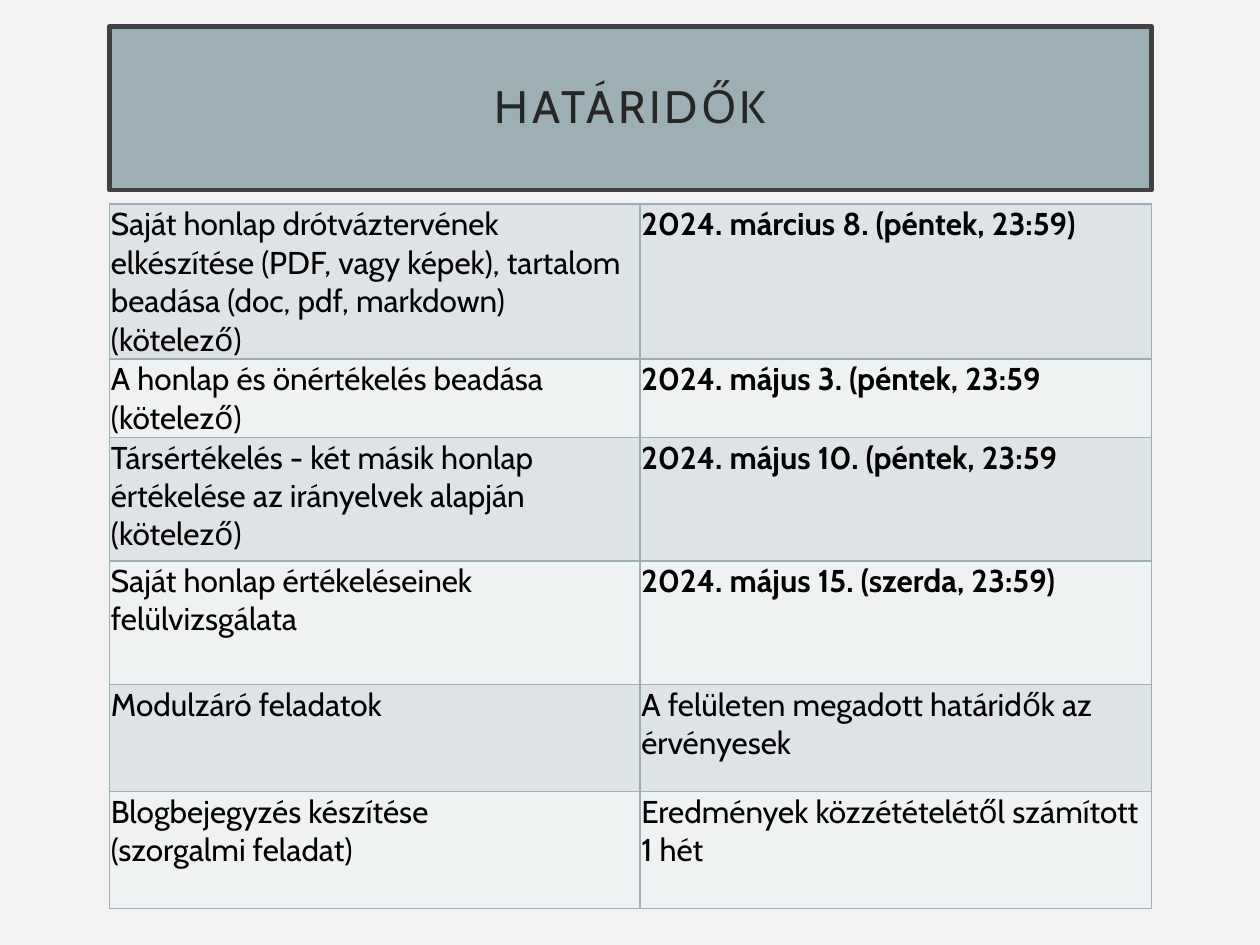
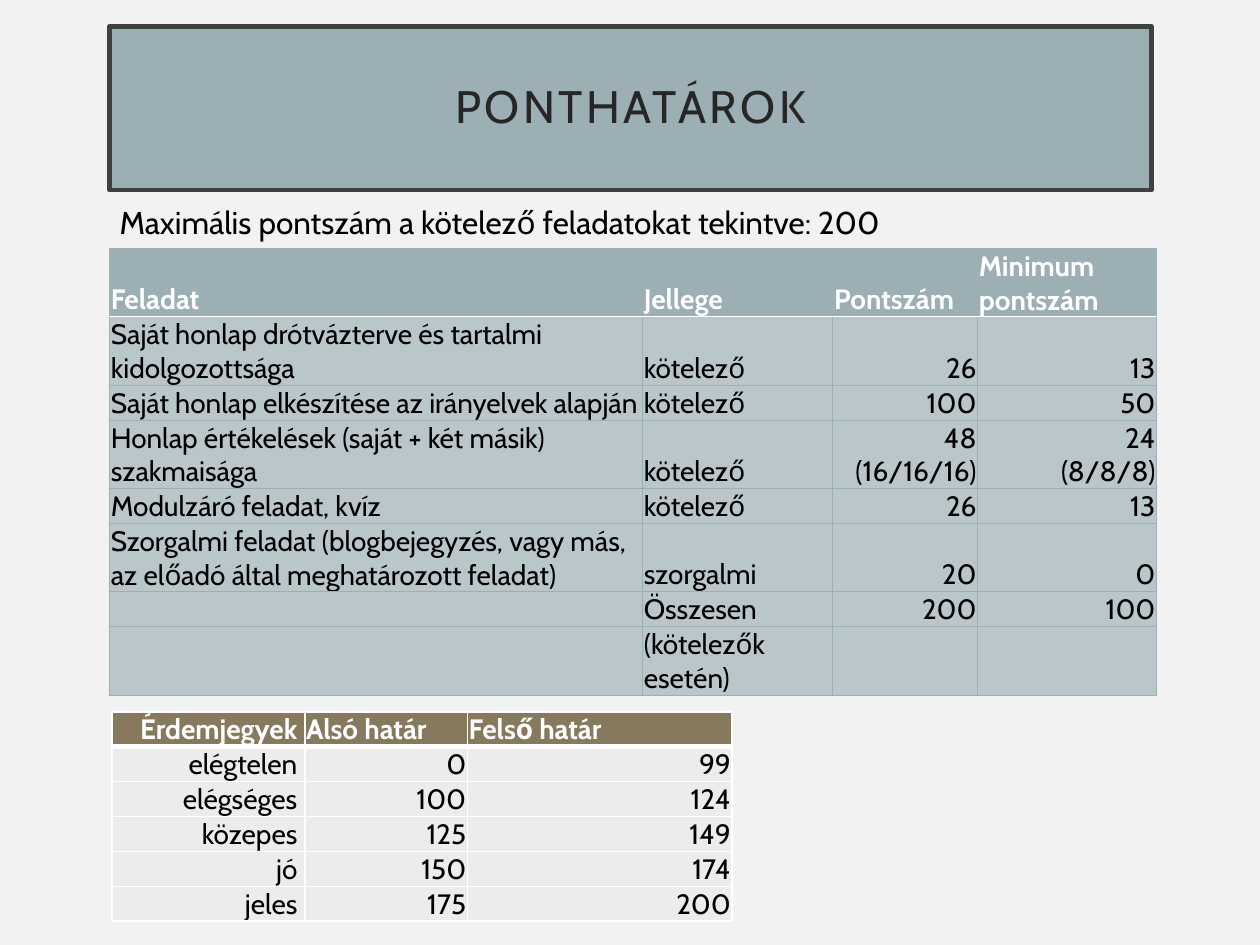
from dataclasses import dataclass

from lxml import etree
from pptx import Presentation
from pptx.dml.color import RGBColor
from pptx.enum.shapes import MSO_SHAPE
from pptx.enum.text import MSO_ANCHOR, PP_ALIGN
from pptx.oxml.ns import qn
from pptx.util import Inches, Pt

RECTANGLE = MSO_SHAPE.RECTANGLE
TOP, MIDDLE, BOTTOM = MSO_ANCHOR.TOP, MSO_ANCHOR.MIDDLE, MSO_ANCHOR.BOTTOM
LEFT, CENTER, RIGHT = PP_ALIGN.LEFT, PP_ALIGN.CENTER, PP_ALIGN.RIGHT


@dataclass(frozen=True)
class Theme:
    font: str = "Cabin"
    page: str = "F2F2F2"
    accent: str = "9BAFB5"
    title_line: str = "404040"
    title_text: str = "262626"
    text: str = "000000"
    white: str = "FFFFFF"
    band_dark: str = "DEE3E5"
    band_light: str = "EFF2F3"
    task_body: str = "B9C6CA"
    grade_head: str = "87795D"
    grade_body: str = "EDECEA"
    title_size: int = 26
    body_size: int = 18
    table_size: int = 16


THEME = Theme()

# Boxes are left, top, width, height in inches
TITLE_BOX = (0.87, 0.21, 8.27, 1.3)
DEADLINE_BOX = (0.87, 1.62, 8.27, 5.59)
CAPTION_BOX = (0.85, 1.56, 6.48, 0.4)
TASK_BOX = (0.87, 1.97, 8.31, 3.52)
GRADE_BOX = (0.89, 5.65, 4.92, 1.64)

DEADLINES = [
    ("Saját honlap drótváztervének elkészítése (PDF, vagy képek), tartalom "
     "beadása (doc, pdf, markdown) (kötelező)", "2024. március 8. (péntek, 23:59)"),
    ("A honlap és önértékelés beadása (kötelező)", "2024. május 3. (péntek, 23:59"),
    ("Társértékelés - két másik honlap értékelése az irányelvek alapján (kötelező)",
     "2024. május 10. (péntek, 23:59"),
    ("Saját honlap értékeléseinek felülvizsgálata", "2024. május 15. (szerda, 23:59)"),
    ("Modulzáró feladatok", "A felületen megadott határidők az érvényesek"),
    ("Blogbejegyzés készítése\n(szorgalmi feladat)",
     "Eredmények közzétételétől számított 1 hét"),
]
TASKS = [
    ("Feladat", "Jellege", "Pontszám", "Minimum pontszám"),
    ("Saját honlap drótvázterve és tartalmi kidolgozottsága", "kötelező", "26", "13"),
    ("Saját honlap elkészítése az irányelvek alapján", "kötelező", "100", "50"),
    ("Honlap értékelések (saját + két másik) szakmaisága", "kötelező",
     "48 (16/16/16)", "24\n(8/8/8)"),
    ("Modulzáró feladat, kvíz", "kötelező", "26", "13"),
    ("Szorgalmi feladat (blogbejegyzés, vagy más, az előadó által meghatározott feladat)",
     "szorgalmi", "20", "0"),
    ("", "Összesen", "200", "100"),
    ("", "(kötelezők esetén)", "", ""),
]
GRADES = [
    ("Érdemjegyek", "Alsó határ", "Felső határ"),
    ("elégtelen", "0", "99"),
    ("elégséges", "100", "124"),
    ("közepes", "125", "149"),
    ("jó", "150", "174"),
    ("jeles", "175", "200"),
]


def rgb(code):
    return RGBColor.from_string(code)


def paint(fill, color):
    fill.solid()
    fill.fore_color.rgb = rgb(color)


def write(para, text, size, color=THEME.text, bold=False, align=LEFT):
    """Fill a paragraph with runs, breaking the line at each newline."""
    para.alignment = align
    for index, line in enumerate(text.split("\n")):
        if index:
            para.add_line_break()
        span = para.add_run()
        span.text = line
        span.font.name = THEME.font
        span.font.size = Pt(size)
        span.font.bold = bold
        span.font.color.rgb = rgb(color)


def set_borders(cell, color, **widths):
    """Draw the four cell edges; widths are points by side L, R, T, B."""
    props = cell._tc.get_or_add_tcPr()
    for index, side in enumerate("LRTB"):
        edge_color, width = widths.get(side, (color, widths["all"]))
        edge = etree.Element(qn(f"a:ln{side}"), w=str(Pt(width)))
        fill = etree.SubElement(edge, qn("a:solidFill"))
        etree.SubElement(fill, qn("a:srgbClr"), val=edge_color)
        props.insert(index, edge)


def fill_cell(cell, text, size, fill, anchor, right_inset=0.01, **style):
    cell.margin_left = cell.margin_top = Inches(0.01)
    cell.margin_right = Inches(right_inset)
    cell.margin_bottom = 0
    cell.vertical_anchor = anchor
    paint(cell.fill, fill)
    para = cell.text_frame.paragraphs[0]
    if text:
        write(para, text, size, **style)
    else:  # keeps an empty row as low as its neighbours
        etree.SubElement(para._p, qn("a:endParaRPr"), sz=str(size * 100))


def add_grid(page, box, widths, heights):
    """Add an unstyled table with the given column and row sizes."""
    frame = page.shapes.add_table(len(heights), len(widths), *map(Inches, box))
    table = frame.table
    table.first_row = table.horz_banding = False
    for column, width in zip(table.columns, widths):
        column.width = Inches(width)
    for row, height in zip(table.rows, heights):
        row.height = Inches(height)
    return table


def add_title(page, box, text):
    band = page.shapes.add_shape(RECTANGLE, *map(Inches, box))
    band.shadow.inherit = False
    paint(band.fill, THEME.accent)
    band.line.color.rgb = rgb(THEME.title_line)
    band.line.width = Pt(2.5)
    frame = band.text_frame
    frame.word_wrap = True
    frame.vertical_anchor = MIDDLE
    frame.margin_left = frame.margin_right = Inches(0.2)
    frame.margin_top = frame.margin_bottom = Inches(0.2)
    para = frame.paragraphs[0]
    para.line_spacing = 0.9
    write(para, text, THEME.title_size, THEME.title_text, align=CENTER)
    para.runs[0].font._element.set("spc", "200")


def add_caption(page, box, text):
    caption = page.shapes.add_textbox(*map(Inches, box))
    caption.text_frame.word_wrap = True
    write(caption.text_frame.paragraphs[0], text, THEME.body_size)


def add_deadlines(page, box):
    table = add_grid(page, box, (4.21, 4.06), (1.23, 0.62, 0.98, 0.98, 0.85, 0.93))
    for r, row in enumerate(DEADLINES):
        fill = THEME.band_light if r % 2 else THEME.band_dark
        for c, text in enumerate(row):
            cell = table.cell(r, c)
            fill_cell(cell, text, THEME.body_size, fill, TOP,
                      bold=text.startswith("2024"))
            set_borders(cell, THEME.accent, all=1)


def add_score_table(page, box, widths, heights, rows, head, body, line, rule,
                    right_from, label_inset=0.01):
    """Table with a bold header over a white rule and right-aligned numbers.

    line is (colour, points) of all edges, rule the points below the header.
    """
    table = add_grid(page, box, widths, heights)
    color, width = line
    for r, row in enumerate(rows):
        is_head = r == 0
        for c, text in enumerate(row):
            is_label = c == 0 and right_from == 0
            is_right = is_label or (c >= right_from and not is_head)
            cell = table.cell(r, c)
            fill_cell(cell, text, THEME.table_size, head if is_head else body, BOTTOM,
                      right_inset=label_inset if is_label else 0.01,
                      color=THEME.white if is_head else THEME.text,
                      bold=is_head, align=RIGHT if is_right else LEFT)
            edges = {0: {"B": (THEME.white, rule)}, 1: {"T": (THEME.white, rule)}}
            set_borders(cell, color, all=width, **edges.get(r, {}))


def add_page(deck, title):
    page = deck.slides.add_slide(deck.slide_layouts[6])
    paint(page.background.fill, THEME.page)
    add_title(page, TITLE_BOX, title)
    return page


def build_deadline_page(deck):
    page = add_page(deck, "HATÁRIDŐK")
    add_deadlines(page, DEADLINE_BOX)


def build_score_page(deck):
    page = add_page(deck, "PONTHATÁROK")
    add_caption(page, CAPTION_BOX, "Maximális pontszám a kötelező feladatokat tekintve: 200")
    # Tasks and their points
    add_score_table(page, TASK_BOX, (4.23, 1.51, 1.15, 1.42),
                    (0.54, 0.54, 0.27, 0.54, 0.27, 0.54, 0.27, 0.54), TASKS,
                    THEME.accent, THEME.task_body, (THEME.accent, 0.5), 1, right_from=2)
    # Grades and their limits
    add_score_table(page, GRADE_BOX, (1.53, 1.29, 2.1), [0.27] * len(GRADES), GRADES,
                    THEME.grade_head, THEME.grade_body, (THEME.white, 1), 3,
                    right_from=0, label_inset=0.06)


def main():
    deck = Presentation()
    deck.slide_width, deck.slide_height = Inches(10), Inches(7.5)
    build_deadline_page(deck)
    build_score_page(deck)
    deck.save("out.pptx")


if __name__ == "__main__":
    main()
